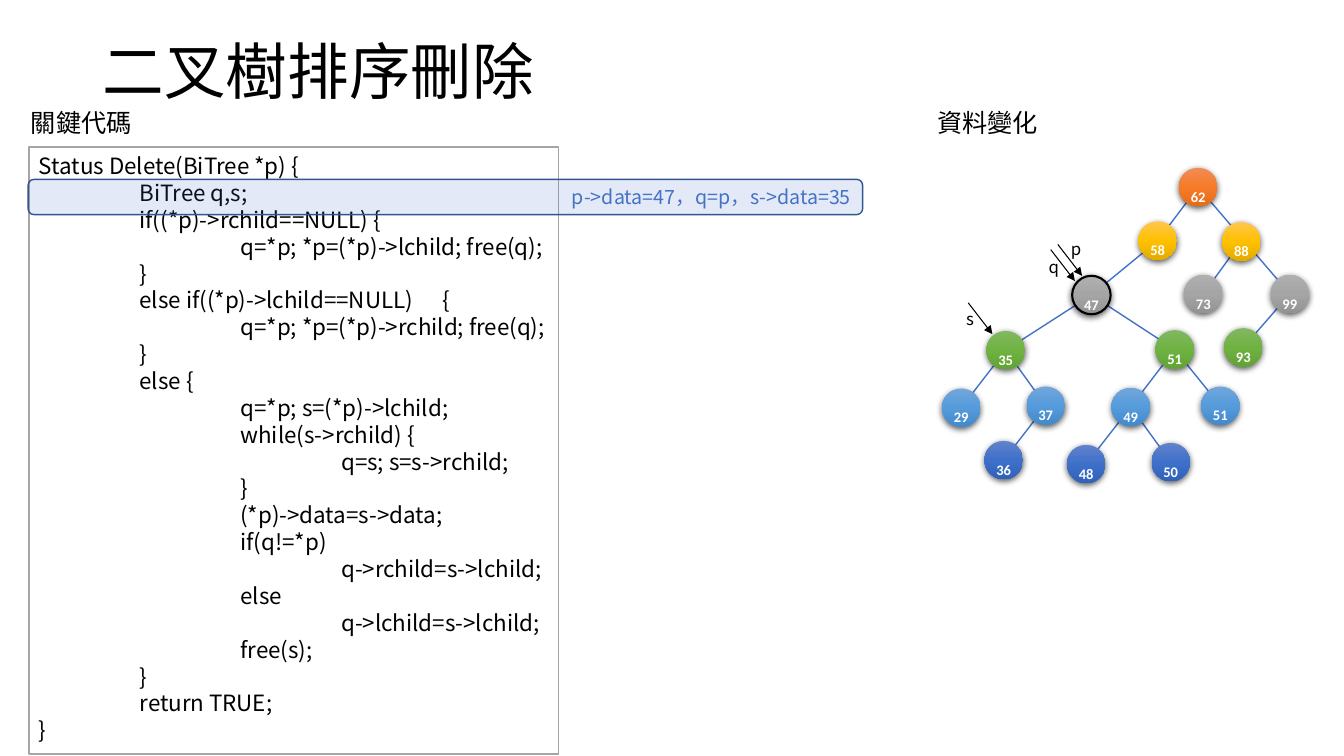
from dataclasses import dataclass

from lxml import etree
from pptx import Presentation
from pptx.dml.color import RGBColor
from pptx.enum.shapes import MSO_CONNECTOR, MSO_SHAPE
from pptx.enum.text import MSO_ANCHOR, PP_ALIGN
from pptx.oxml.ns import qn
from pptx.util import Cm, Pt

STRAIGHT = MSO_CONNECTOR.STRAIGHT
RECTANGLE = MSO_SHAPE.RECTANGLE
ROUNDED = MSO_SHAPE.ROUNDED_RECTANGLE
OVAL = MSO_SHAPE.OVAL
TOP, MIDDLE = MSO_ANCHOR.TOP, MSO_ANCHOR.MIDDLE
LEFT, CENTER, RIGHT = PP_ALIGN.LEFT, PP_ALIGN.CENTER, PP_ALIGN.RIGHT


@dataclass(frozen=True)
class Theme:
    font: str = "Noto Sans CJK SC"
    number_font: str = "Calibri"
    black: str = "000000"
    white: str = "FFFFFF"
    frame: str = "A5A5A5"
    accent: str = "4472C4"
    accent_dark: str = "325491"
    levels: tuple = (
        ("F18C57", "F67B28", "E56C19"),
        ("FFC64B", "FFC000", "E3AB00"),
        ("AFAFAF", "A5A5A5", "939393"),
        ("81B861", "6FB242", "62A336"),
        ("71A6DB", "559BDB", "448ACA"),
        ("6183CB", "3E70CA", "3062BB"),
    )
    title_size: int = 44
    heading_size: int = 18
    code_size: int = 16
    note_size: int = 14
    pointer_size: int = 12
    node_size: int = 18


THEME = Theme()
NODE_DIAMETER = 0.97
TAB_WIDTH = 2.54
TAB_COUNT = 4

CODE = (
    (0, "Status Delete(BiTree *p) {"),
    (1, "BiTree q,s;"),
    (1, "if((*p)->rchild==NULL) {"),
    (2, "q=*p; *p=(*p)->lchild; free(q);"),
    (1, "}"),
    (1, "else if((*p)->lchild==NULL)\t{"),
    (2, "q=*p; *p=(*p)->rchild; free(q);"),
    (1, "}"),
    (1, "else {"),
    (2, "q=*p; s=(*p)->lchild;"),
    (2, "while(s->rchild) {"),
    (3, "q=s; s=s->rchild;"),
    (2, "}"),
    (2, "(*p)->data=s->data;"),
    (2, "if(q!=*p)"),
    (3, "q->rchild=s->lchild;"),
    (2, "else"),
    (3, "q->lchild=s->lchild;"),
    (2, "free(s);"),
    (1, "}"),
    (1, "return TRUE;"),
    (0, "}"),
)

NODES = (
    ("62", 0, 5.97, 0),
    ("58", 1, 4.95, 1.35),
    ("88", 1, 7.06, 1.37),
    ("47", 2, 3.28, 2.72),
    ("73", 2, 6.1, 2.69),
    ("99", 2, 8.28, 2.69),
    ("35", 3, 1.12, 4.11),
    ("51", 3, 5.38, 4.09),
    ("93", 3, 7.11, 4.04),
    ("29", 4, 0, 5.56),
    ("37", 4, 2.13, 5.51),
    ("49", 4, 4.27, 5.54),
    ("51", 4, 6.53, 5.51),
    ("36", 5, 1.07, 6.88),
    ("48", 5, 3.15, 6.98),
    ("50", 5, 5.28, 6.93),
)
EDGES = (
    (0, 1), (0, 5), (1, 3), (2, 4), (3, 6), (3, 7), (5, 8),
    (6, 9), (6, 10), (7, 11), (7, 12), (10, 13), (11, 14), (11, 15),
)
CURRENT_NODE = 3

POINTERS = (
    ("p", 2.92, 1.93, 3.0, 1.65),
    ("q", 2.74, 2.06, 2.44, 2.11),
    ("s", 0.66, 3.4, 0.36, 3.43),
)


def rgb(color):
    return RGBColor.from_string(color)


def write(shape, text, size, color, font=THEME.font, align=LEFT, anchor=TOP, tabs=0):
    frame = shape.text_frame
    frame.vertical_anchor = anchor
    frame.text = text
    for paragraph in frame.paragraphs:
        paragraph.alignment = align
        if tabs:
            stops = etree.SubElement(paragraph._p.pPr, qn("a:tabLst"))
            for number in range(1, tabs + 1):
                etree.SubElement(stops, qn("a:tab"), pos=str(Cm(number * TAB_WIDTH)), algn="l")
        paragraph.font.name = font
        paragraph.font.size = Pt(size)
        paragraph.font.color.rgb = rgb(color)
        properties = paragraph._p.pPr.find(qn("a:defRPr"))
        etree.SubElement(properties, qn("a:ea"), typeface=font)
    return frame


def add_text(shapes, box, text, size, color=THEME.black, wrap=True, **style):
    shape = shapes.add_textbox(*map(Cm, box))
    frame = write(shape, text, size, color, **style)
    frame.word_wrap = wrap
    return frame


def add_panel(shapes, kind, box, fill, line):
    shape = shapes.add_shape(kind, *map(Cm, box))
    shape.shadow.inherit = False
    shape.fill.solid()
    shape.fill.fore_color.rgb = rgb(fill)
    shape.line.color.rgb = rgb(line)
    shape.line.width = Pt(1)
    return shape


def add_line(shapes, start, end, color, width, arrow=False):
    connector = shapes.add_connector(STRAIGHT, *map(Cm, (*start, *end)))
    connector.line.color.rgb = rgb(color)
    connector.line.width = Pt(width)
    if arrow:
        etree.SubElement(connector.line._get_or_add_ln(), qn("a:tailEnd"), type="triangle")
    etree.SubElement(connector._element.spPr, qn("a:effectLst"))


def add_title(shapes, box):
    frame = add_text(shapes, box, "二叉樹排序刪除", THEME.title_size, anchor=MIDDLE)
    frame.paragraphs[0].line_spacing = 0.9


def add_code(shapes, box):
    panel = add_panel(shapes, RECTANGLE, box, THEME.white, THEME.frame)
    text = "\n".join("\t" * depth + line for depth, line in CODE)
    write(panel, text, THEME.code_size, THEME.black, tabs=TAB_COUNT)


def add_highlight(shapes, box):
    panel = add_panel(shapes, ROUNDED, box, THEME.accent, THEME.accent_dark)
    color = panel._element.spPr.find(qn("a:solidFill"))[0]
    etree.SubElement(color, qn("a:alpha"), val="15000")
    write(panel, "p->data=47，q=p，s->data=35", THEME.note_size, THEME.accent,
          align=RIGHT, anchor=MIDDLE)


def add_node(shapes, left, top, value, colors, current):
    group = shapes.add_group_shape().shapes
    circle = group.add_shape(OVAL, *map(Cm, (left, top, NODE_DIAMETER, NODE_DIAMETER)))
    circle.fill.gradient()
    circle.fill.gradient_angle = 270
    stops = circle._element.spPr.find(".//" + qn("a:gsLst"))
    stops[:] = []
    for position, color in zip((0, 50000, 100000), colors):
        stop = etree.SubElement(stops, qn("a:gs"), pos=str(position))
        etree.SubElement(stop, qn("a:srgbClr"), val=color)
    if current:
        circle.line.color.rgb = rgb(THEME.black)
        circle.line.width = Pt(1.5)
    else:
        circle.line.fill.background()
    circle.shadow.inherit = False
    effects = circle._element.spPr.find(qn("a:effectLst"))
    shadow = etree.SubElement(effects, qn("a:outerShdw"), blurRad=str(Pt(4.5)),
                              dist=str(Pt(1.5)), dir="5400000", algn="ctr", rotWithShape="0")
    shade = etree.SubElement(shadow, qn("a:srgbClr"), val=THEME.black)
    etree.SubElement(shade, qn("a:alpha"), val="63000")
    frame = add_text(group, (left, top - 0.05, NODE_DIAMETER, 0.76), value, THEME.node_size,
                     THEME.white, font=THEME.number_font, align=CENTER)
    frame.margin_left = frame.margin_right = 0
    paragraph = frame.paragraphs[0]
    paragraph.font.bold = True
    paragraph._p.pPr.find(qn("a:defRPr")).set("baseline", "-25000")


def add_tree(shapes, left, top):
    radius = NODE_DIAMETER / 2
    centers = [(left + x + radius, top + y + radius) for _, _, x, y in NODES]
    for parent, child in EDGES:
        add_line(shapes, centers[parent], centers[child], THEME.accent, 1)
    for index, (value, level, x, y) in enumerate(NODES):
        add_node(shapes, left + x, top + y, value, THEME.levels[level], index == CURRENT_NODE)
    for name, x, y, label_x, label_y in POINTERS:
        start = (left + x, top + y)
        end = (start[0] + 0.61, start[1] + 0.79)
        add_line(shapes, start, end, THEME.black, 0.75, arrow=True)
        add_text(shapes, (left + label_x, top + label_y, 0.76, 0.76), name,
                 THEME.pointer_size, wrap=False)


def main():
    presentation = Presentation()
    presentation.slide_width, presentation.slide_height = Cm(33.87), Cm(19.05)
    slide = presentation.slides.add_slide(presentation.slide_layouts[6])
    shapes = slide.shapes
    add_title(shapes, (2.34, 0.03, 29.21, 3.68))
    add_code(shapes, (0.73, 3.71, 13.34, 15.29))
    for left, heading in ((0.53, "關鍵代碼"), (23.37, "資料變化")):
        add_text(shapes, (left, 2.57, 3.1, 1.02), heading, THEME.heading_size, wrap=False)
    add_tree(shapes, 23.74, 4.23)
    add_highlight(shapes, (0.71, 4.52, 21.03, 0.89))
    presentation.save("out.pptx")


if __name__ == "__main__":
    main()
